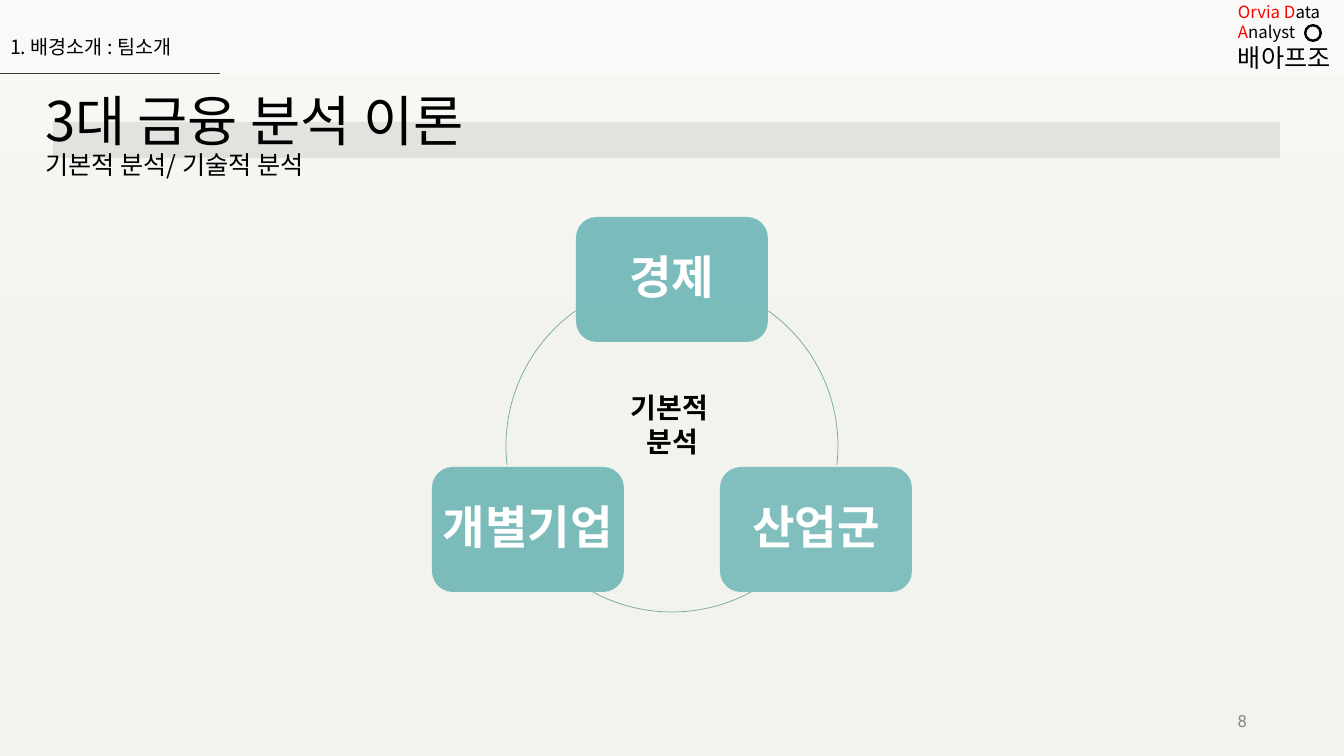
from copy import deepcopy
from math import cos, radians, sin
from lxml import etree
from pptx import Presentation
from pptx import util as u
from pptx.dml.color import RGBColor
from pptx.enum import shapes, text
from pptx.oxml.ns import qn

PX = 12192000 / 1344  # EMU per px
HUE = {"black": "000000", "white": "FFFFFF", "red": "FF0000", "gray": "888888",
       "dark": "3A3838", "teal": "49A6A6", "arc": "75A99E"}
BACK = ["F9FAF7", "F1F3EC", "EFF2EA"]
SANS = "Noto Sans CJK KR"
LEFT, MID, RIGHT = text.PP_ALIGN.LEFT, text.PP_ALIGN.CENTER, text.PP_ALIGN.RIGHT
TOP, MIDDLE = text.MSO_ANCHOR.TOP, text.MSO_ANCHOR.MIDDLE
KIND = shapes.MSO_SHAPE


def px(*nums):
    return [u.Emu(round(n * PX)) for n in nums]


def rgb(name):
    return RGBColor.from_string(HUE[name])


def write(frame, paras, align=LEFT, anchor=TOP, pad=5, gap=None, font=SANS, wrap=True):
    """Each paragraph is a list of runs: (words, size, colour, bold)."""
    frame.word_wrap = wrap
    frame.vertical_anchor = anchor
    frame.margin_left, frame.margin_top, frame.margin_right, frame.margin_bottom = px(*[pad] * 4)
    for i, runs in enumerate(paras):
        para = frame.add_paragraph() if i else frame.paragraphs[0]
        para.alignment = align
        if gap:
            para.line_spacing = gap
        for words, size, hue, bold in runs:
            run = para.add_run()
            run.text = words
            run.font.size = u.Pt(size)
            run.font.bold = bold
            run.font.color.rgb = rgb(hue)
            run.font.name = font
            east = etree.SubElement(run.font._element, qn("a:ea"))
            east.set("typeface", font)


def label(slide, box, paras, **style):
    write(slide.shapes.add_textbox(*px(*box)).text_frame, paras, **style)


def block(slide, kind, box, hue, alpha=100):
    shape = slide.shapes.add_shape(kind, *px(*box))
    shape.shadow.inherit = False
    shape.line.fill.background()
    shape.fill.solid()
    shape.fill.fore_color.rgb = rgb(hue)
    if alpha < 100:
        tint = shape.element.spPr.find(".//" + qn("a:srgbClr"))
        etree.SubElement(tint, qn("a:alpha")).set("val", str(alpha * 1000))
    return shape


def arc(slide, mid, radius, start, end, steps=40):
    """Angles in degrees, clockwise from the right."""
    turns = [radians(start + (end - start) * i / steps) for i in range(steps + 1)]
    dots = [px(mid[0] + radius * cos(t), mid[1] + radius * sin(t)) for t in turns]
    curve = slide.shapes.build_freeform(*dots[0])
    curve.add_line_segments(dots[1:], close=False)
    shape = curve.convert_to_shape()
    shape.shadow.inherit = False
    shape.fill.background()
    shape.line.color.rgb = rgb("arc")
    shape.line.width = u.Pt(0.5)


def rule(slide, x1, y1, x2, y2):
    line = slide.shapes.add_connector(shapes.MSO_CONNECTOR.STRAIGHT, *px(x1, y1, x2, y2))
    line.line.color.rgb = rgb("dark")
    line.line.width = u.Pt(0.5)
    etree.SubElement(line.element.spPr, qn("a:effectLst"))


def shade(slide):
    fill = slide.background.fill
    fill.gradient()
    fill.gradient_angle = 270
    stops = slide.element.find(".//" + qn("a:gsLst"))
    stops.insert(1, deepcopy(stops[0]))
    for i, stop in enumerate(fill.gradient_stops):
        stop.position = i / 2
        stop.color.rgb = RGBColor.from_string(BACK[i])


def cycle(slide):
    # Ring arcs between the boxes
    for start, end in [(-54.5, 6.5), (61.5, 118.5), (173.5, 234.5)]:
        arc(slide, (672, 446), 166, start, end)
    # Three topics
    for words, x, y, alpha in [("경제", 576, 217, 71), ("산업군", 720, 467, 67),
                               ("개별기업", 432, 467, 70)]:
        box = block(slide, KIND.ROUNDED_RECTANGLE, (x, y, 192, 125), "teal", alpha)
        write(box.text_frame, [[(words, 33, "white", True)]],
              align=MID, anchor=MIDDLE, pad=4, gap=0.9)
    # Centre
    label(slide, (566, 386, 213, 80),
          [[("기본적 ", 20, "black", True)], [("분석", 20, "black", True)]], align=MID)


def main():
    deck = Presentation()
    deck.slide_width, deck.slide_height = px(1344, 756)
    slide = deck.slides.add_slide(deck.slide_layouts[6])
    shade(slide)
    # Team name and badge
    team = [("Orvia D", "red"), ("ata ", "black"), ("A", "red"), ("nalyst", "black")]
    label(slide, (1233, -3, 107, 79),
          [[(words, 12, hue, False) for words, hue in team],
           [("배아프조", 18, "black", False)]])
    badge = block(slide, KIND.DONUT, (1304, 24, 18, 18), "black")
    badge.adjustments[0] = 0.14
    cycle(slide)
    # Page number
    label(slide, (1231, 706, 21, 29), [[("8", 12, "gray", False)]],
          align=RIGHT, anchor=MIDDLE, font="Roboto", wrap=False)
    # Section heading
    label(slide, (5, 23, 228, 51), [[("1. 배경소개 : 팀소개", 14, "black", False)]],
          anchor=MIDDLE, gap=0.9)
    rule(slide, 0, 73, 220, 73)
    # Title over its band
    block(slide, KIND.RECTANGLE, (53, 122, 1227, 36), "dark", 11)
    label(slide, (40, 87, 1159, 100),
          [[("3대 금융 분석 이론", 39, "black", False)],
           [("기본적 분석/ 기술적 분석", 18, "black", False)]],
          anchor=MIDDLE, gap=0.9)
    deck.save("out.pptx")


if __name__ == "__main__":
    main()
